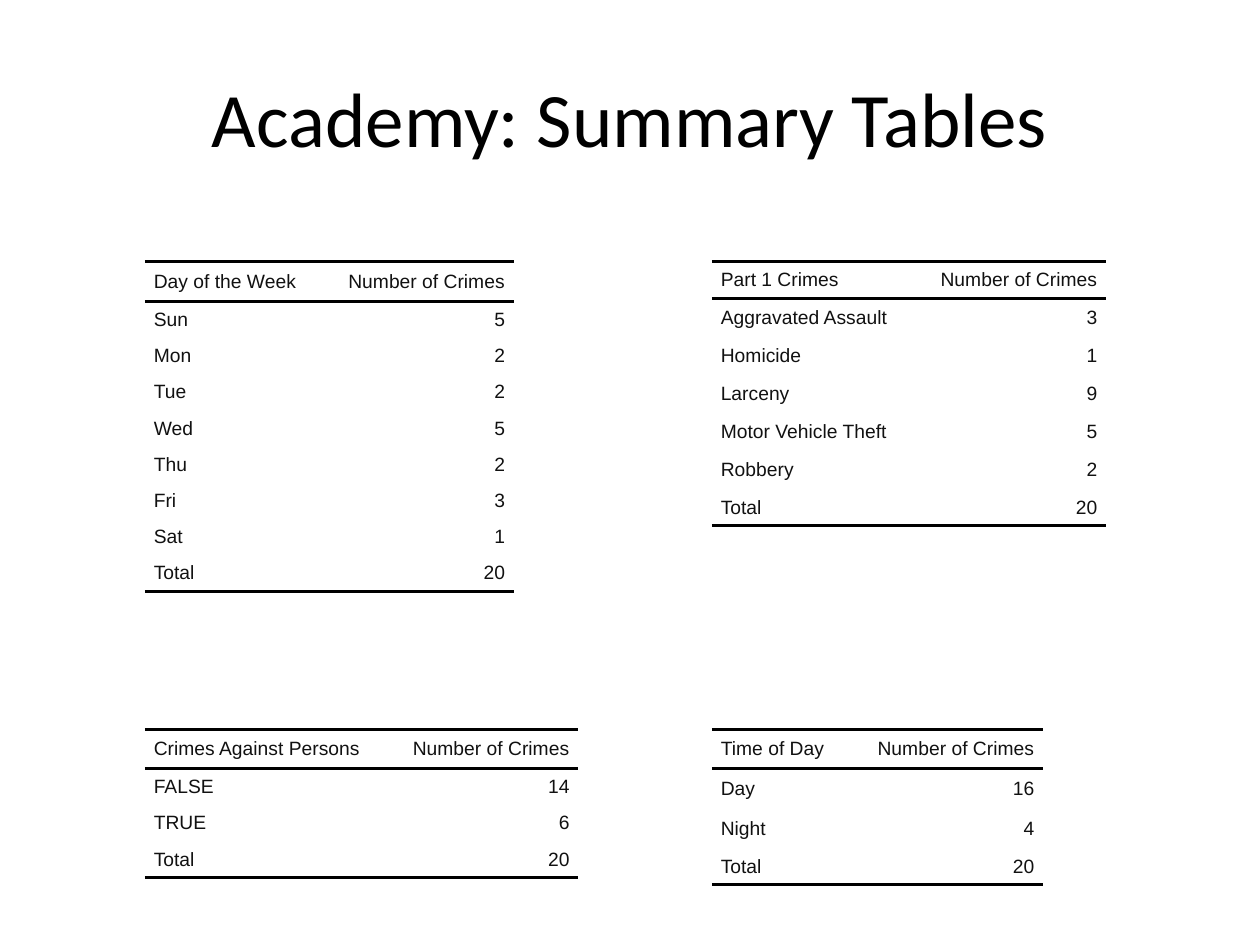
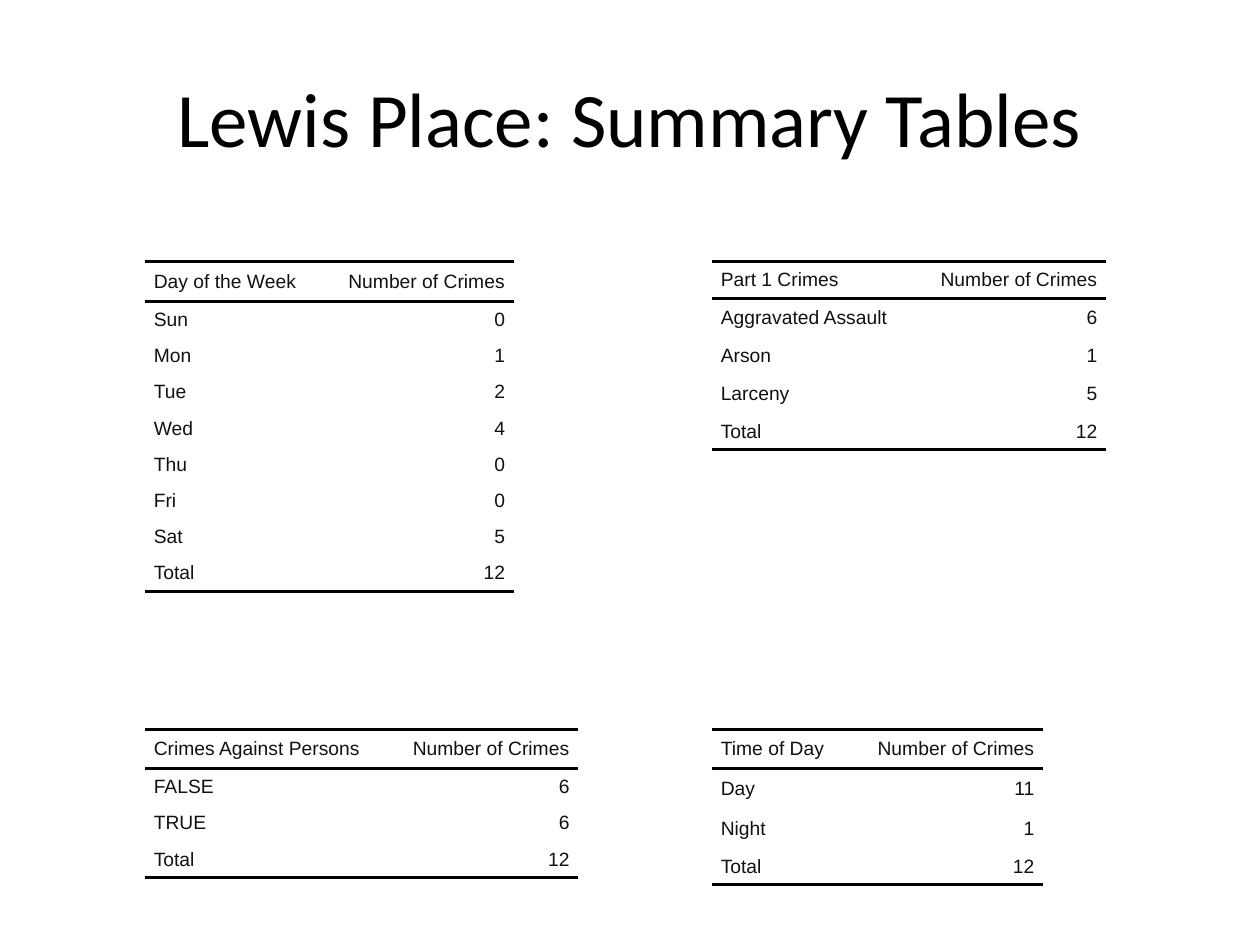
from dataclasses import dataclass

from lxml import etree
from pptx import Presentation
from pptx import util as u
from pptx.dml import color
from pptx.enum import text
from pptx.oxml import ns


@dataclass(frozen=True)
class Theme:
    title_font: str = "Calibri"
    table_font: str = "Arial"
    title_size: u.Pt = u.Pt(44)
    table_size: u.Pt = u.Pt(11)
    rule_width: u.Pt = u.Pt(2)
    title_color: str = "000000"
    table_color: str = "111111"
    rule_color: str = "000000"


@dataclass(frozen=True)
class TableFrame:
    heading: str
    left: float
    top: float
    label_width: float
    tall_rows: tuple[int, ...]


@dataclass(frozen=True)
class District:
    name: str
    part_1: dict[str, int]
    weekdays: tuple[int, ...]
    against_persons: tuple[int, int]
    time_of_day: tuple[int, int]


THEME = Theme()
TITLE_ONLY = 5
NO_STYLE_NO_GRID = "{2D5ABB26-0587-4C30-8999-92F81FD0307C}"

# Lengths in centimetres
LEFT_COLUMN, RIGHT_COLUMN = 2.92, 14.35
UPPER_ROW, LOWER_ROW = 5.28, 14.7
COUNT_WIDTH = 3.86
SHORT_HEIGHT, TALL_HEIGHT = 0.73, 0.8
CELL_MARGIN = 0.18

PART_1 = TableFrame("Part 1 Crimes", RIGHT_COLUMN, UPPER_ROW, 4.09, (1, 3, 5))
WEEKDAY = TableFrame("Day of the Week", LEFT_COLUMN, UPPER_ROW, 3.58, (0,))
PERSONS = TableFrame("Crimes Against Persons", LEFT_COLUMN, LOWER_ROW, 4.88, (0,))
TIME = TableFrame("Time of Day", RIGHT_COLUMN, LOWER_ROW, 2.82, (0, 1, 2))

DAYS = ("Sun", "Mon", "Tue", "Wed", "Thu", "Fri", "Sat")

DISTRICTS = (
    District(
        "Academy",
        {"Aggravated Assault": 3, "Homicide": 1, "Larceny": 9,
         "Motor Vehicle Theft": 5, "Robbery": 2},
        (5, 2, 2, 5, 2, 3, 1), (14, 6), (16, 4),
    ),
    District(
        "Lewis Place",
        {"Aggravated Assault": 6, "Arson": 1, "Larceny": 5},
        (0, 1, 2, 4, 0, 0, 5), (6, 6), (11, 1),
    ),
)


def format_paragraph(paragraph, font: str, size: u.Pt, rgb: str, alignment) -> None:
    paragraph.alignment = alignment
    paragraph.font.name = font
    paragraph.font.size = size
    paragraph.font.color.rgb = color.RGBColor.from_string(rgb)


def add_rules(cell, sides: tuple[str, ...]) -> None:
    """Draw border lines on a cell; sides are lnT and lnB, in that order."""
    properties = cell._tc.get_or_add_tcPr()
    for position, side in enumerate(sides):
        line = etree.Element(ns.qn(f"a:{side}"), w=str(THEME.rule_width))
        fill = etree.SubElement(line, ns.qn("a:solidFill"))
        etree.SubElement(fill, ns.qn("a:srgbClr"), val=THEME.rule_color)
        properties.insert(position, line)


def fill_cell(cell, content: str, alignment, rules: tuple[str, ...]) -> None:
    cell.text = content
    cell.vertical_anchor = text.MSO_ANCHOR.MIDDLE
    cell.margin_left = cell.margin_right = u.Cm(CELL_MARGIN)
    cell.margin_top = cell.margin_bottom = 0
    cell.fill.background()
    format_paragraph(cell.text_frame.paragraphs[0], THEME.table_font,
                     THEME.table_size, THEME.table_color, alignment)
    add_rules(cell, rules)


def add_summary_table(slide, frame: TableFrame, counts: dict[str, int]) -> None:
    rows = [(frame.heading, "Number of Crimes"), *counts.items(),
            ("Total", sum(counts.values()))]
    heights = [TALL_HEIGHT if index in frame.tall_rows else SHORT_HEIGHT
               for index in range(len(rows))]
    graphic_frame = slide.shapes.add_table(
        len(rows), 2, u.Cm(frame.left), u.Cm(frame.top),
        u.Cm(frame.label_width + COUNT_WIDTH), u.Cm(sum(heights)))
    table = graphic_frame.table
    table.horz_banding = False
    table._tbl.tblPr.find(ns.qn("a:tableStyleId")).text = NO_STYLE_NO_GRID
    for column, width in zip(table.columns, (frame.label_width, COUNT_WIDTH)):
        column.width = u.Cm(width)

    rules_by_row = {0: ("lnT", "lnB"), len(rows) - 1: ("lnB",)}
    alignments = (text.PP_ALIGN.LEFT, text.PP_ALIGN.RIGHT)
    for index, (values, height) in enumerate(zip(rows, heights)):
        table.rows[index].height = u.Cm(height)
        for cell, value, alignment in zip(table.rows[index].cells, values, alignments):
            fill_cell(cell, str(value), alignment, rules_by_row.get(index, ()))


def set_title(slide, content: str) -> None:
    title = slide.shapes.title
    title.left, title.top = u.Cm(1.27), u.Cm(0.76)
    title.width, title.height = u.Cm(22.86), u.Cm(3.18)
    title.text_frame.text = content
    title.text_frame.vertical_anchor = text.MSO_ANCHOR.MIDDLE
    format_paragraph(title.text_frame.paragraphs[0], THEME.title_font,
                     THEME.title_size, THEME.title_color, text.PP_ALIGN.CENTER)


def add_district_slide(presentation, district: District) -> None:
    slide = presentation.slides.add_slide(presentation.slide_layouts[TITLE_ONLY])
    set_title(slide, f"{district.name}: Summary Tables")
    add_summary_table(slide, PART_1, district.part_1)
    add_summary_table(slide, WEEKDAY, dict(zip(DAYS, district.weekdays)))
    add_summary_table(slide, PERSONS, dict(zip(("FALSE", "TRUE"), district.against_persons)))
    add_summary_table(slide, TIME, dict(zip(("Day", "Night"), district.time_of_day)))


def main() -> None:
    presentation = Presentation()
    presentation.slide_width, presentation.slide_height = u.Cm(25.4), u.Cm(19.05)
    for district in DISTRICTS:
        add_district_slide(presentation, district)
    presentation.save("out.pptx")


if __name__ == "__main__":
    main()
